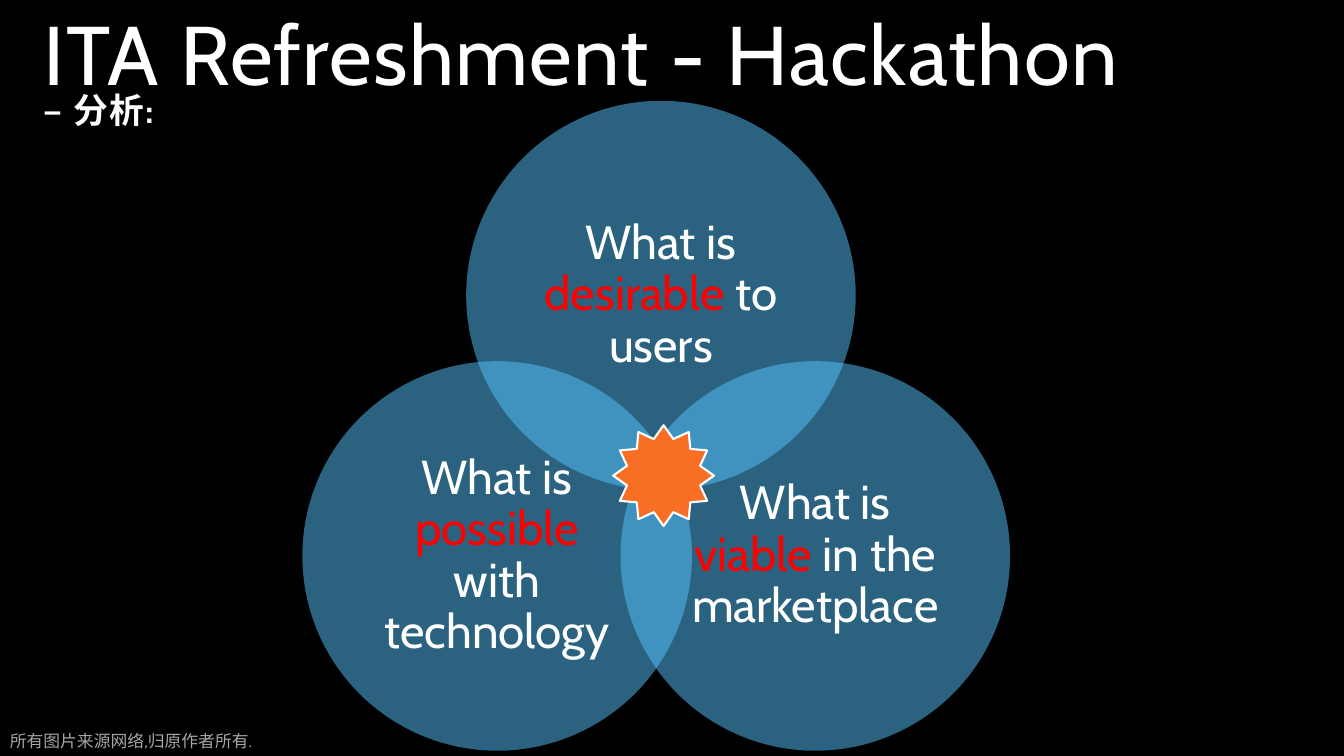
from lxml import etree
from pptx import Presentation
from pptx.dml.color import RGBColor
from pptx.enum.shapes import MSO_SHAPE
from pptx.enum.text import MSO_ANCHOR, MSO_AUTO_SIZE, PP_ALIGN
from pptx.oxml.ns import qn
from pptx.util import Emu, Pt

PX = 9525
FONT = "Cabin"
COLORS = {
    "black": "000000",
    "white": "FFFFFF",
    "red": "FF0000",
    "blue": "56C5FF",
    "orange": "F86E24",
    "grey": "A6A6A6",
}
OVAL, STAR = MSO_SHAPE.OVAL, MSO_SHAPE.STAR_12_POINT
TOP, MIDDLE = MSO_ANCHOR.TOP, MSO_ANCHOR.MIDDLE
LEFT, CENTER = PP_ALIGN.LEFT, PP_ALIGN.CENTER
NO_FIT, GROW = MSO_AUTO_SIZE.NONE, MSO_AUTO_SIZE.SHAPE_TO_FIT_TEXT

CIRCLE = 371
CIRCLE_MARGIN = 13
CIRCLES = [
    (444, 96, "desirable", " to users"),
    (288, 344, "possible", " with technology"),
    (591, 344, "viable", " in the marketplace"),
]


def px(*values):
    return [Emu(v * PX) for v in values]


def rgb(name):
    return RGBColor.from_string(COLORS[name])


def write(tf, runs, size, align=LEFT, anchor=TOP, spacing=1.0, bold=False,
          tracking=0, wrap=True, fit=NO_FIT):
    tf.word_wrap = wrap
    tf.auto_size = fit
    tf.vertical_anchor = anchor
    p = tf.paragraphs[0]
    p.alignment = align
    p.line_spacing = spacing
    for text, color in runs:
        r = p.add_run()
        r.text = text
        r.font.name = FONT
        r.font.size = Pt(size)
        r.font.bold = bold
        r.font.color.rgb = rgb(color)
        if tracking:
            r._r.get_or_add_rPr().set("spc", str(tracking * 100))


def add_title(s, box, text, **fmt):
    sp = s.shapes.title
    sp.left, sp.top, sp.width, sp.height = px(*box)
    write(sp.text_frame, [(text, "white")], **fmt)


def add_label(s, box, text, color, **fmt):
    sp = s.shapes.add_textbox(*px(*box))
    write(sp.text_frame, [(text, color)], **fmt)


def add_figure(shapes, kind, box, fill):
    sp = shapes.add_shape(kind, *px(*box))
    sp.shadow.inherit = False
    sp.fill.solid()
    sp.fill.fore_color.rgb = rgb(fill)
    return sp


def add_circle(shapes, left, top, keyword, ending):
    sp = add_figure(shapes, OVAL, (left, top, CIRCLE, CIRCLE), "blue")
    sp.line.fill.background()
    color = sp.fill._xPr.find(qn("a:solidFill"))[0]
    etree.SubElement(color, qn("a:alpha")).set("val", "50000")
    tf = sp.text_frame
    tf.margin_left, tf.margin_top, tf.margin_right, tf.margin_bottom = px(
        *[CIRCLE_MARGIN] * 4)
    runs = [("What is ", "white"), (keyword, "red"), (ending, "white")]
    write(tf, runs, 34, align=CENTER, anchor=MIDDLE, spacing=0.9)


def add_star(s, box):
    sp = add_figure(s.shapes, STAR, box, "orange")
    sp.line.color.rgb = rgb("white")
    sp.line.width = Pt(1.5)


def main():
    prs = Presentation()
    prs.slide_width, prs.slide_height = px(1280, 720)
    s = prs.slides.add_slide(prs.slide_layouts[5])
    s.background.fill.solid()
    s.background.fill.fore_color.rgb = rgb("black")

    add_title(s, (32, 16, 1168, 91), "ITA Refreshment - Hackathon",
              size=59.4, spacing=0.8, tracking=1)
    venn = s.shapes.add_group_shape()
    for circle in CIRCLES:
        add_circle(venn.shapes, *circle)
    add_label(s, (0, 691, 254, 29), "所有图片来源网络,归原作者所有.", "grey",
              size=12, wrap=False, fit=GROW)
    add_star(s, (584, 405, 96, 96))
    add_label(s, (32, 94, 784, 34), "– 分析:", "white",
              size=24.8, spacing=0.6, bold=True, tracking=1)
    prs.save("out.pptx")


if __name__ == "__main__":
    main()
